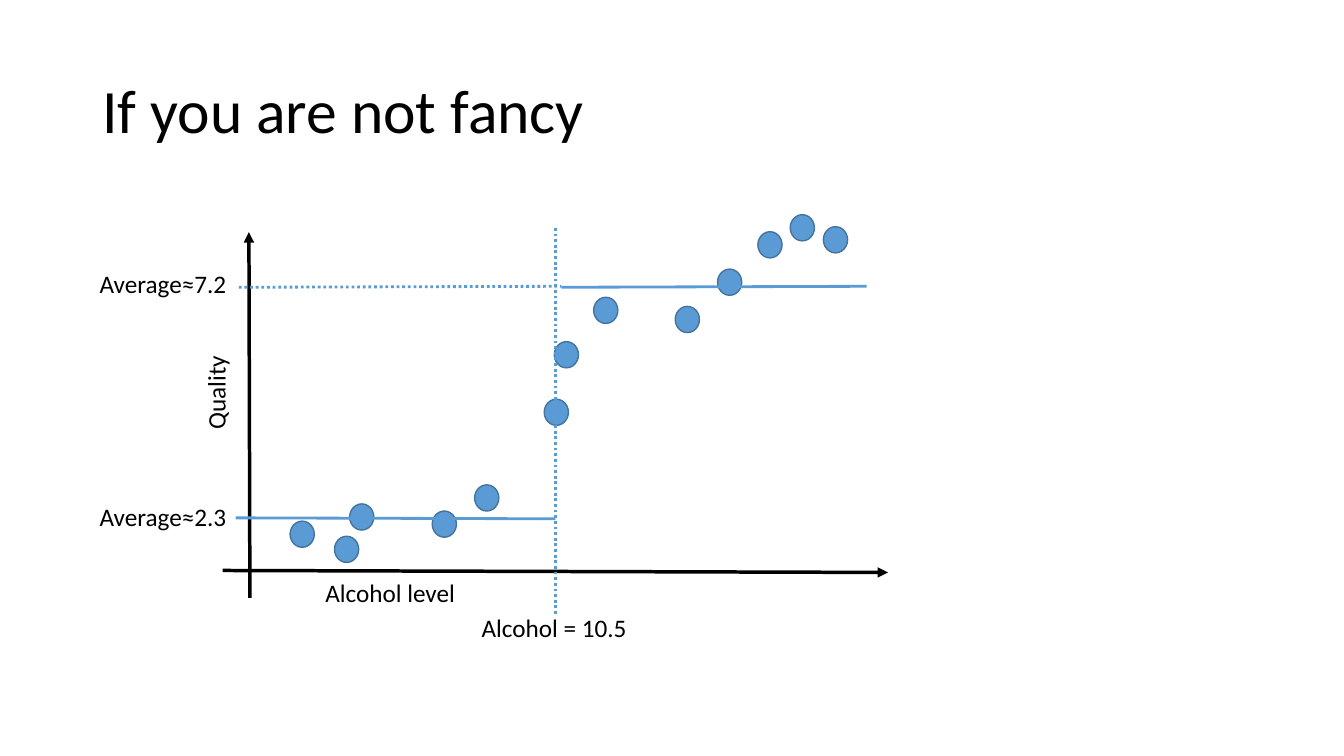
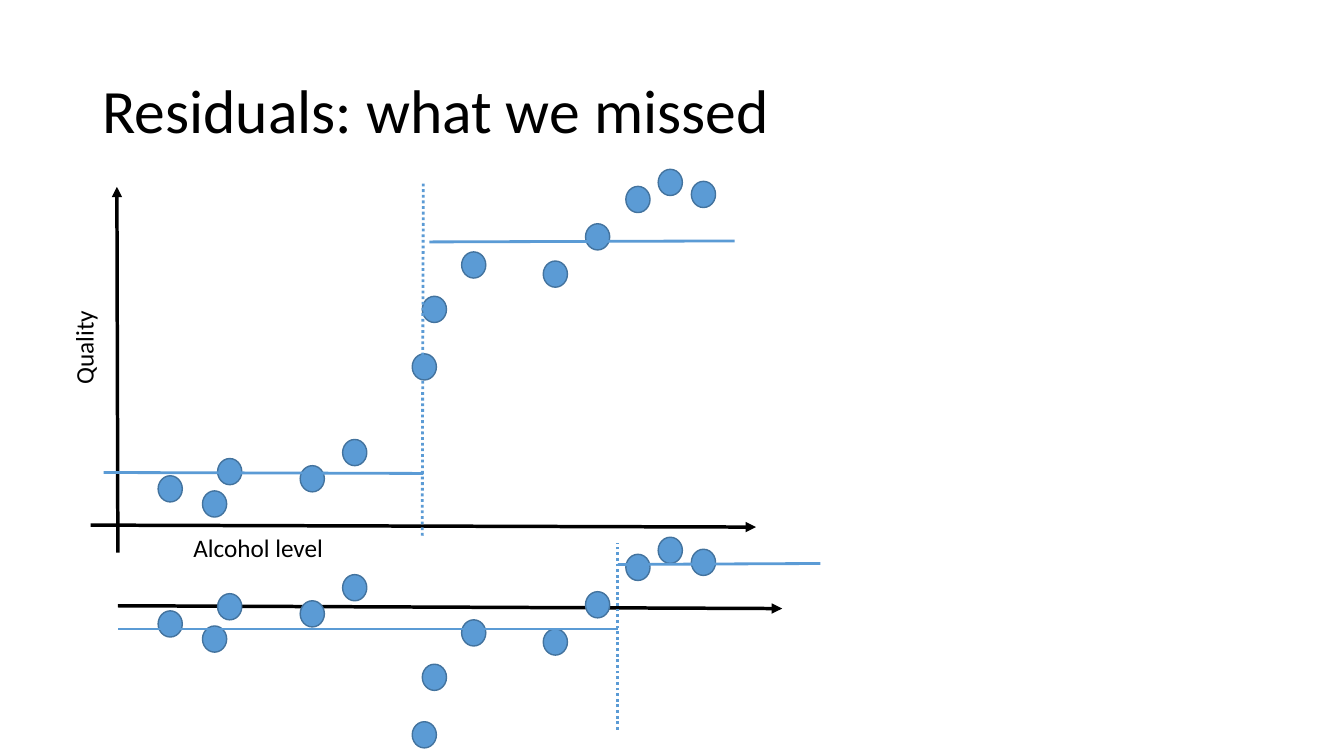
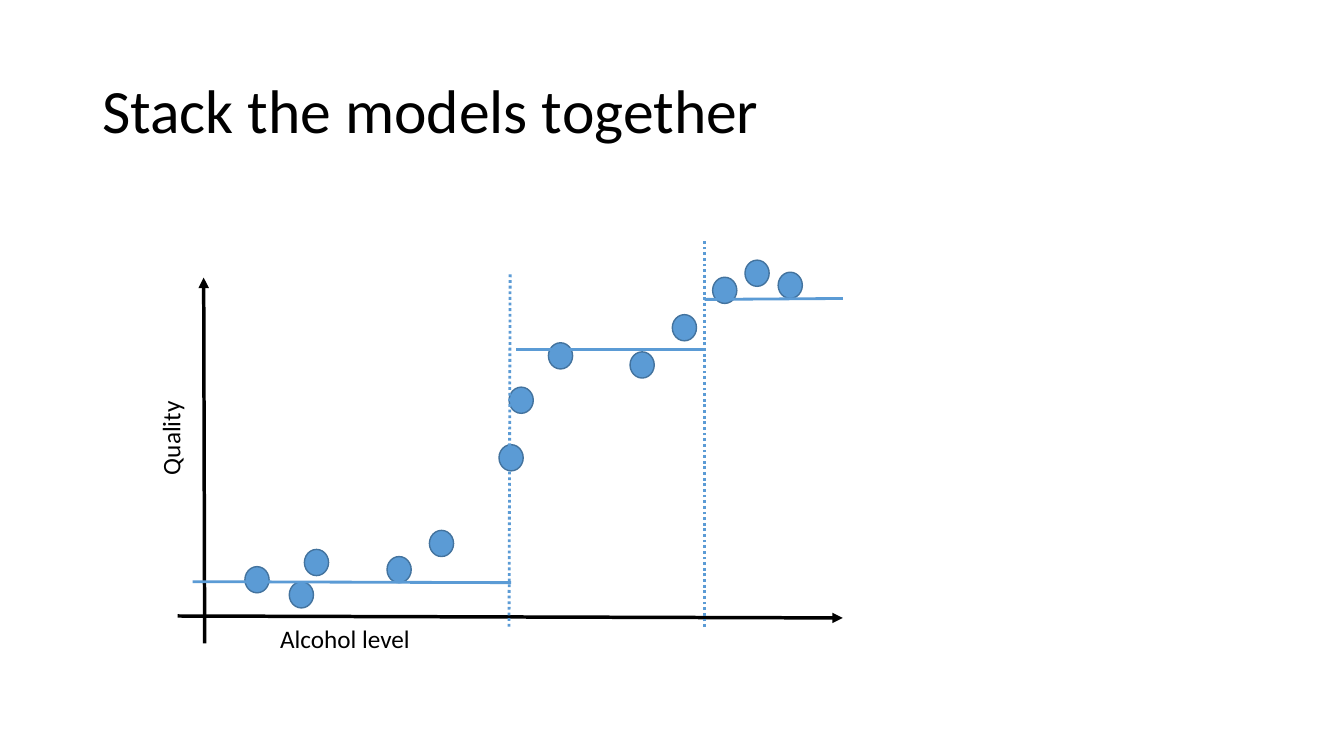
from pptx import Presentation
from pptx.dml.color import RGBColor
from pptx.enum.dml import MSO_LINE
from pptx.enum.shapes import MSO_CONNECTOR, MSO_SHAPE
from pptx.enum.text import MSO_ANCHOR, MSO_AUTO_SIZE
from pptx.oxml.ns import qn
from pptx.util import Pt
from lxml.etree import SubElement

COLORS = {"text": "000000", "blue": "5B9BD5", "edge": "43739E"}
FONT = "Calibri"
DOT_W, DOT_H = 17.3, 18.7
LABEL_H = 28.8

# Data in plot coordinates: points to the right of and above the origin
LOW_DOTS = [(37.4, 25.9), (79.9, 38.2), (69.1, 15.1), (169.2, 51.8), (138.9, 33.1)]
HIGH_DOTS = [(342.7, 205.9), (371.5, 232.6), (254.2, 185.8), (226.1, 154.1),
             (418.3, 236.2), (312.5, 179.3), (218.9, 113), (394.6, 244.8)]
LOW_MEAN, HIGH_MEAN = 38.9, 205.2
FIRST_FIT = [((222.5, 202.3), (440.6, 203)), ((-10.1, 37.6), (218.2, 36.9))]
FIRST_SPLIT = ((217.4, -7.6), (218.2, 245.2))
SECOND_SPLIT_X = 357.1


def rgb(name):
    return RGBColor.from_string(COLORS[name])


def add_text(s, text, x, y, w, h, size=18, wrap=False, anchor=MSO_ANCHOR.TOP,
             fit=MSO_AUTO_SIZE.SHAPE_TO_FIT_TEXT, spacing=None, rotation=0):
    sp = s.shapes.add_textbox(Pt(x), Pt(y), Pt(w), Pt(h))
    sp.rotation = rotation
    tf = sp.text_frame
    tf.word_wrap = wrap
    tf.auto_size = fit
    tf.vertical_anchor = anchor
    p = tf.paragraphs[0]
    p.line_spacing = spacing
    r = p.add_run()
    r.text = text
    r.font.name = FONT
    r.font.size = Pt(size)
    r.font.color.rgb = rgb("text")


def add_line(s, origin, start, end, color="blue", width=2, dotted=False, arrow=False):
    """Draw a line between two points given in plot coordinates."""
    ox, oy = origin
    (x1, y1), (x2, y2) = start, end
    c = s.shapes.add_connector(MSO_CONNECTOR.STRAIGHT, Pt(ox + x1), Pt(oy - y1),
                               Pt(ox + x2), Pt(oy - y2))
    c.line.color.rgb = rgb(color)
    c.line.width = Pt(width)
    if dotted:
        c.line.dash_style = MSO_LINE.ROUND_DOT
    if arrow:
        SubElement(c.line._get_or_add_ln(), qn("a:tailEnd"), type="triangle")
    SubElement(c._element.spPr, qn("a:effectLst"))


def add_axis(s, origin, start, end):
    add_line(s, origin, start, end, color="text", width=2.5, arrow=True)


def add_dots(s, origin, dots, mean=0):
    ox, oy = origin
    for x, y in dots:
        sp = s.shapes.add_shape(MSO_SHAPE.OVAL, Pt(ox + x - DOT_W / 2),
                                Pt(oy - (y - mean) - DOT_H / 2), Pt(DOT_W), Pt(DOT_H))
        sp.shadow.inherit = False
        sp.fill.solid()
        sp.fill.fore_color.rgb = rgb("blue")
        sp.line.color.rgb = rgb("edge")
        sp.line.width = Pt(1)


def add_label(s, origin, text, x, y, w, **fmt):
    add_text(s, text, origin[0] + x, origin[1] - y, w, LABEL_H, **fmt)


def add_plot(s, origin):
    """Draw the labelled axes and the observations."""
    add_axis(s, origin, (0, -19.6), (-0.7, 241.7))
    add_axis(s, origin, (-19.4, 0), (455.8, -1.4))
    add_label(s, origin, "Quality", -58.3, 141.8, 67.7, rotation=270)
    add_label(s, origin, "Alcohol level", 46.8, -1.4, 108)
    add_dots(s, origin, LOW_DOTS + HIGH_DOTS)


def add_fit(s, origin, levels):
    for start, end in levels:
        add_line(s, origin, start, end)


def add_split(s, origin, start, end):
    add_line(s, origin, start, end, dotted=True)


def add_slide(prs, title):
    s = prs.slides.add_slide(prs.slide_layouts[6])
    add_text(s, title, 66, 28.75, 828, 104.4, size=44, wrap=True, spacing=0.9,
             anchor=MSO_ANCHOR.MIDDLE, fit=MSO_AUTO_SIZE.NONE)
    return s


def first_model(prs):
    s = add_slide(prs, "If you are not fancy")
    plot = (178.5, 407.5)
    add_plot(s, plot)
    add_fit(s, plot, FIRST_FIT)
    add_split(s, plot, (218.2, -31), (218.2, 245.5))
    add_label(s, plot, "Alcohol = 10.5", 158.4, -26.6, 143.3, wrap=True)
    add_split(s, plot, (-7.9, 202.3), (222.5, 203))
    for text, y in [("Average≈7.2", 219.6), ("Average≈2.3", 52.6)]:
        add_label(s, plot, text, -114.5, y, 106.6)


def residuals(prs):
    s = add_slide(prs, "Residuals: what we missed")
    plot = (84.2, 375.1)
    add_plot(s, plot)
    add_fit(s, plot, FIRST_FIT)
    add_split(s, plot, *FIRST_SPLIT)

    # Distance of each observation from its average
    lower = (84.2, 432.7)
    add_axis(s, lower, (0, 0), (474.5, -2))
    add_dots(s, lower, LOW_DOTS, LOW_MEAN)
    add_dots(s, lower, HIGH_DOTS, HIGH_MEAN)
    add_fit(s, lower, [((SECOND_SPLIT_X, 29.5), (501.8, 30.2)),
                       ((SECOND_SPLIT_X, -16.6), (0, -16.6))])
    add_split(s, lower, (SECOND_SPLIT_X, -88.6), (SECOND_SPLIT_X, 44.6))


def stacked_model(prs):
    s = add_slide(prs, "Stack the models together")
    plot = (146.2, 440)
    add_plot(s, plot)
    add_fit(s, plot, [((222.5, 190.1), (SECOND_SPLIT_X, 190.1)),
                      ((-8.6, 24.5), (218.9, 23.8)),
                      ((SECOND_SPLIT_X, 226.1), (455.8, 226.8))])
    add_split(s, plot, *FIRST_SPLIT)
    add_split(s, plot, (SECOND_SPLIT_X, -7.9), (SECOND_SPLIT_X, 268.6))


def main():
    prs = Presentation()
    prs.slide_width, prs.slide_height = Pt(960), Pt(540)
    first_model(prs)
    residuals(prs)
    stacked_model(prs)
    prs.save("out.pptx")


main()
